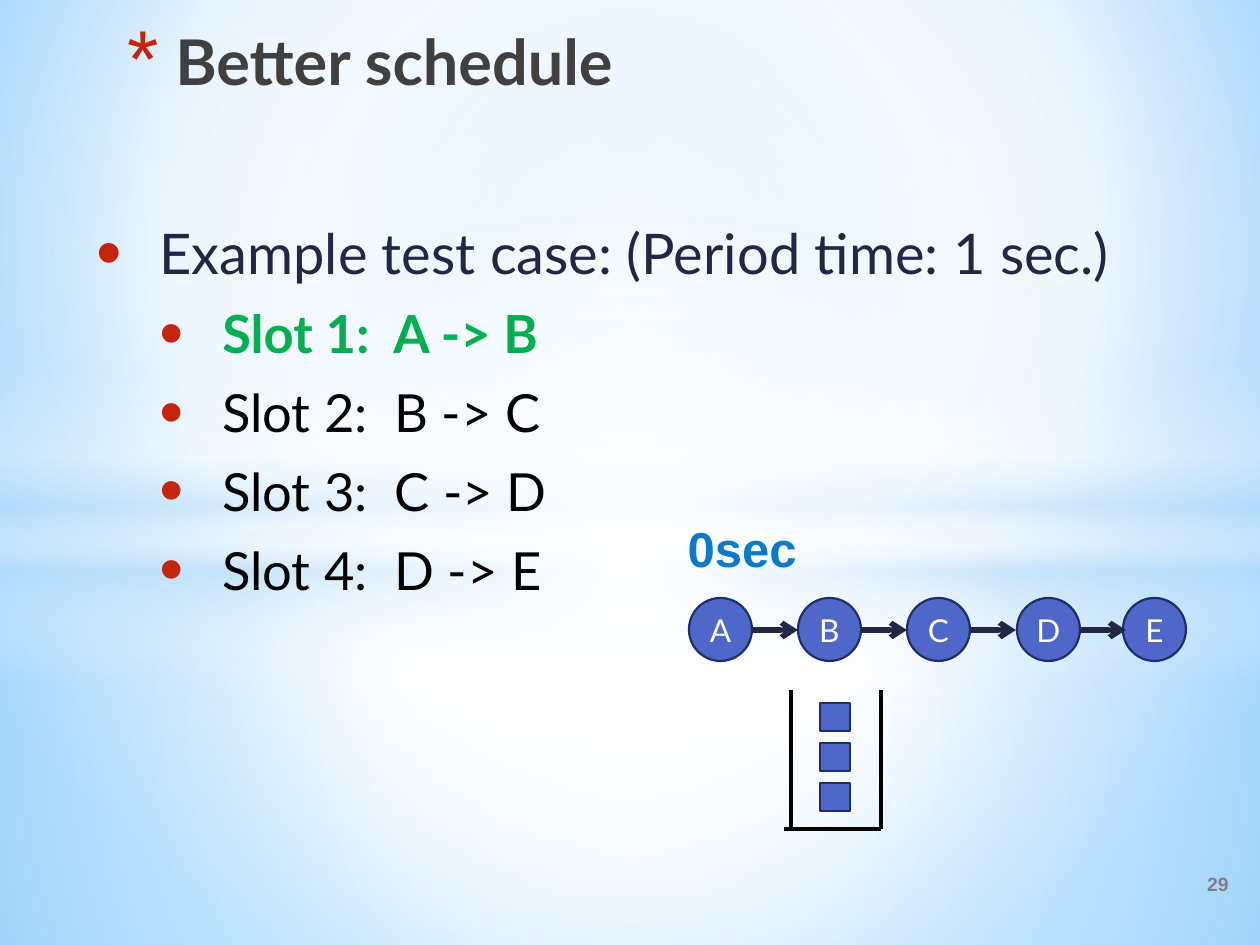
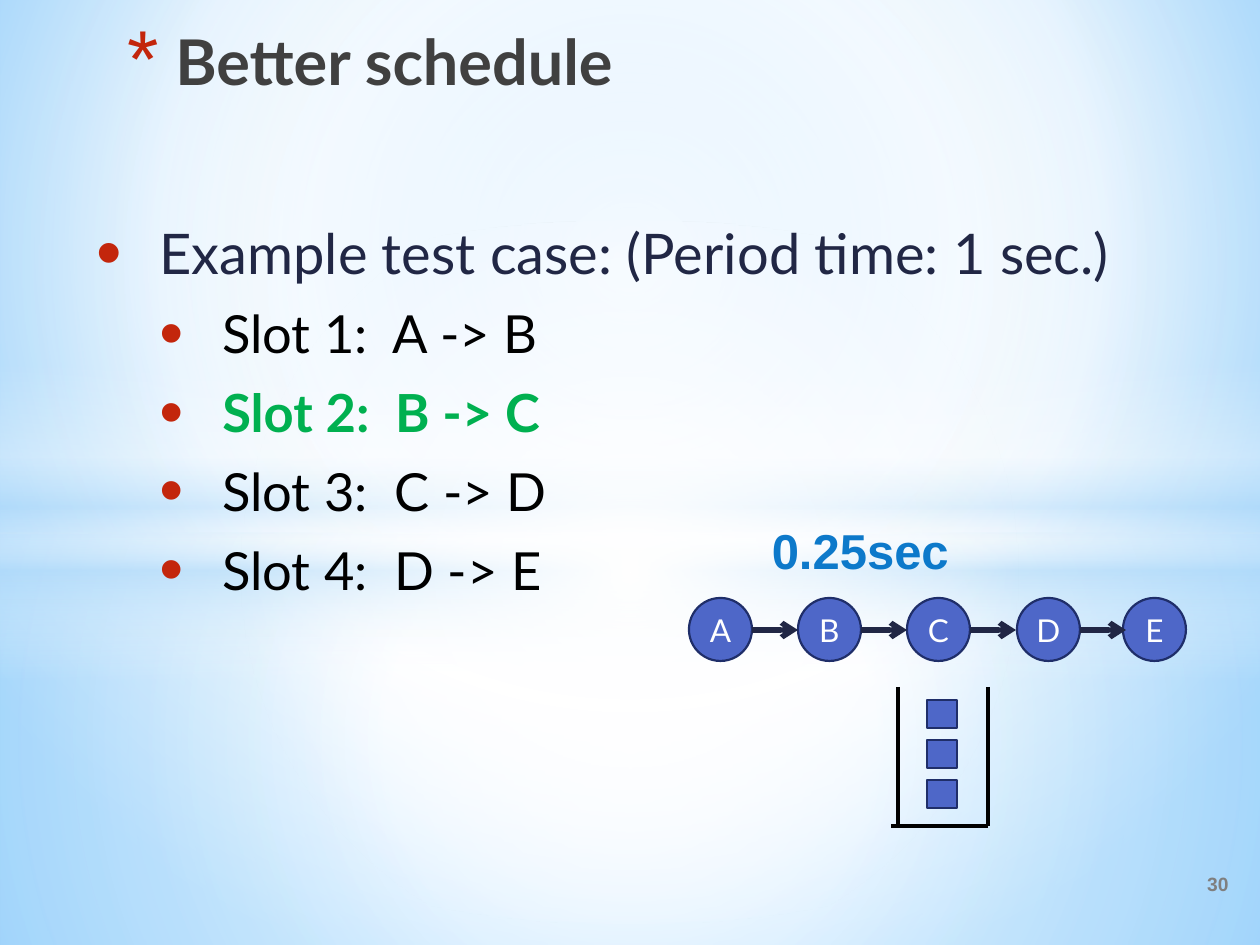
from lxml.etree import SubElement
from pptx import Presentation
from pptx.dml.color import RGBColor
from pptx.enum.shapes import MSO_CONNECTOR, MSO_SHAPE
from pptx.enum.text import MSO_ANCHOR, PP_ALIGN
from pptx.oxml.ns import qn
from pptx.util import Pt

PX = 914400 / 126  # EMU in one px

NAVY = RGBColor(0x21, 0x27, 0x45)
GRAY = RGBColor(0x40, 0x40, 0x40)
PALE = RGBColor(0x7F, 0x7F, 0x7F)
BLACK = RGBColor(0, 0, 0)
WHITE = RGBColor(0xFF, 0xFF, 0xFF)
GREEN = RGBColor(0x00, 0xB0, 0x50)
BLUE = RGBColor(0x4E, 0x67, 0xC8)
EDGE = RGBColor(0x1F, 0x2E, 0x69)
SKY = RGBColor(0x0D, 0x79, 0xCA)
RED = RGBColor(0xC3, 0x26, 0x0C)
ICE = RGBColor(0xB4, 0xDC, 0xFA)
TOP = RGBColor(0x9E, 0xD5, 0xFF)
RIM = RGBColor(0x5B, 0xB9, 0xFF)

MID = (50, 50, 50, 50)
RECT, OVAL = MSO_SHAPE.RECTANGLE, MSO_SHAPE.OVAL

# Backdrop layers: kind, top, height, focus (None means top to bottom), stops
LAYERS = [
    (RECT, 533, 412, MID, [(0, WHITE, 91), (37, WHITE, 76), (100, ICE, 79)]),
    (RECT, 0, 533, MID, [(0, WHITE, 89), (48, WHITE, 62), (100, ICE, 79)]),
    (RECT, 365, 315, None, [(0, WHITE, 0), (29, WHITE, 30), (45, ICE, 40),
                            (55, WHITE, 26), (65, ICE, 60), (100, WHITE, 0)]),
    (OVAL, 221, 703, MID, [(0, WHITE, 100), (54, WHITE, 0)]),
]
NODES = list(zip("ABCDE", (689, 798, 907, 1017, 1123)))
SLOTS = ["Slot 1:  A -> B", "Slot 2:  B -> C", "Slot 3:  C -> D", "Slot 4:  D -> E"]

# Per slide: page, active slot, time, label left, top, width, queue left, top
STEPS = [
    ("29", 0, "0sec", 620, 512, 189, 791, 690),
    ("30", 1, "0.25sec", 751, 514, 210, 898, 687),
]


def blend(fill, root, stops, focus):
    """Give a fill its colour stops, around a focus or from top to bottom."""
    fill.gradient()
    grad = root.find(".//" + qn("a:gradFill"))
    grad.clear()
    grad.set("rotWithShape", "1")
    list_ = SubElement(grad, qn("a:gsLst"))
    for pos, color, solid in stops:
        stop = SubElement(list_, qn("a:gs"), pos=str(pos * 1000))
        tint = SubElement(stop, qn("a:srgbClr"), val=str(color))
        if solid < 100:
            SubElement(tint, qn("a:alpha"), val=str(solid * 1000))
    if focus:
        ring = SubElement(grad, qn("a:path"), path="circle")
        sides = {side: str(part * 1000) for side, part in zip("ltrb", focus)}
        SubElement(ring, qn("a:fillToRect"), **sides)
    else:
        SubElement(grad, qn("a:lin"), ang="5400000", scaled="0")


def style(para, text, size, color, bold=False, face="Lato", mark=None):
    """Write a paragraph; mark is bullet sign, size in percent, left, hang."""
    para.text = text
    if mark:
        sign, scale, left, hang = mark
        props = para._p.get_or_add_pPr()
        props.set("marL", str(int(left * PX)))
        props.set("indent", str(int(-hang * PX)))
        tint = SubElement(props, qn("a:buClr"))
        SubElement(tint, qn("a:srgbClr"), val=str(RED))
        SubElement(props, qn("a:buSzPct"), val=str(scale * 1000))
        SubElement(props, qn("a:buFont"), typeface="Arial")
        SubElement(props, qn("a:buChar"), char=sign)
    font = para.font
    font.name, font.size, font.bold = face, Pt(size), bold
    font.color.rgb = color


deck = Presentation()
deck.slide_width, deck.slide_height = int(1260 * PX), int(945 * PX)

for page, live, time, tag_x, tag_y, tag_w, bin_x, bin_y in STEPS:
    slide = deck.slides.add_slide(deck.slide_layouts[6])
    shapes = slide.shapes

    # Background and its soft layers
    blend(slide.background.fill, slide._element,
          [(0, TOP, 100), (60, WHITE, 100), (100, RIM, 100)], (20, 10, 20, 60))
    for kind, y, high, focus, stops in LAYERS:
        layer = shapes.add_shape(kind, 0, int(y * PX), int(1260 * PX), int(high * PX))
        layer.shadow.inherit = False
        layer.line.fill.background()
        blend(layer.fill, layer._element, stops, focus)

    # Title, slot list, page number and time label
    frames = []
    for box in [(115, 16, 1042, 139), (84, 212, 1131, 400),
                (779, 859, 462, 50), (tag_x, tag_y, tag_w, 72)]:
        frame = shapes.add_textbox(*[int(n * PX) for n in box]).text_frame
        frame.word_wrap = True
        frames.append(frame)
    title, body, foot, tag = frames
    style(title.paragraphs[0], "Better schedule", 36, GRAY, True, mark=("*", 128, 48, 48))
    style(body.paragraphs[0], "Example test case: (Period time: 1 sec.)", 32, NAVY,
          mark=("•", 130, 63, 63))
    body.paragraphs[0].space_after = Pt(3)
    for i, slot in enumerate(SLOTS):
        para = body.add_paragraph()
        para.level = 1
        style(para, slot, 30, GREEN if i == live else BLACK, i == live,
              mark=("•", 130, 126, 63))
        para.space_before, para.space_after = Pt(6), Pt(3)
    foot.vertical_anchor = MSO_ANCHOR.MIDDLE
    style(foot.paragraphs[0], page, 11, PALE, True, "Arial")
    style(tag.paragraphs[0], time, 28, SKY, True, "Arial")
    for frame in (foot, tag):
        frame.paragraphs[0].alignment = PP_ALIGN.RIGHT

    # Nodes of the chain and packets in the queue
    queue = shapes.add_group_shape().shapes
    parts = [(shapes, OVAL, x, 598, 63, 63, name) for name, x in NODES]
    parts += [(queue, RECT, bin_x + 29, bin_y + 13 + 40 * i, 30, 28, "") for i in range(3)]
    for home, kind, x, y, wide, high, name in parts:
        part = home.add_shape(kind, *[int(n * PX) for n in (x, y, wide, high)])
        part.shadow.inherit = False
        part.fill.solid()
        part.fill.fore_color.rgb = BLUE
        part.line.color.rgb = EDGE
        part.line.width = Pt(1.25)
        if name:
            frame = part.text_frame
            frame.margin_left = frame.margin_right = 0
            frame.margin_top = frame.margin_bottom = 0
            frame.vertical_anchor = MSO_ANCHOR.MIDDLE
            frame.paragraphs[0].alignment = PP_ALIGN.CENTER
            style(frame.paragraphs[0], name, 18, WHITE)

    # Arrows between nodes and walls of the queue
    right, base = bin_x + 90, bin_y + 139
    lines = [(shapes, x + 63, 630, x + 109, 630, NAVY, 3) for _, x in NODES[:-1]]
    lines += [(queue, bin_x, bin_y, bin_x, base, BLACK, 2.25),
              (queue, right, base, bin_x - 7, base, BLACK, 2.25),
              (queue, right, bin_y, right, base, BLACK, 2.25)]
    for home, *ends, color, width in lines:
        link = home.add_connector(MSO_CONNECTOR.STRAIGHT, *[int(n * PX) for n in ends])
        link.line.color.rgb = color
        link.line.width = Pt(width)
        if home is shapes:
            SubElement(link.line._get_or_add_ln(), qn("a:tailEnd"), type="arrow")
        SubElement(link._element.spPr, qn("a:effectLst"))

deck.save("out.pptx")
